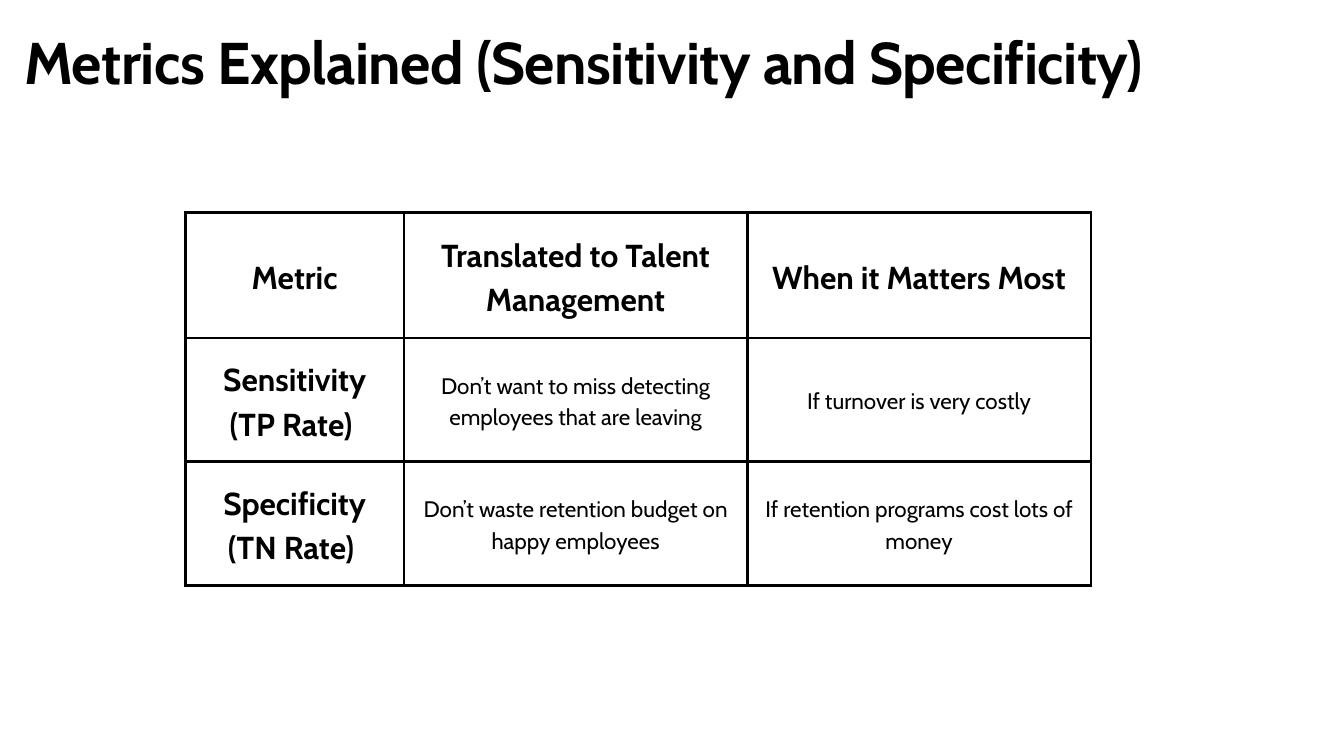
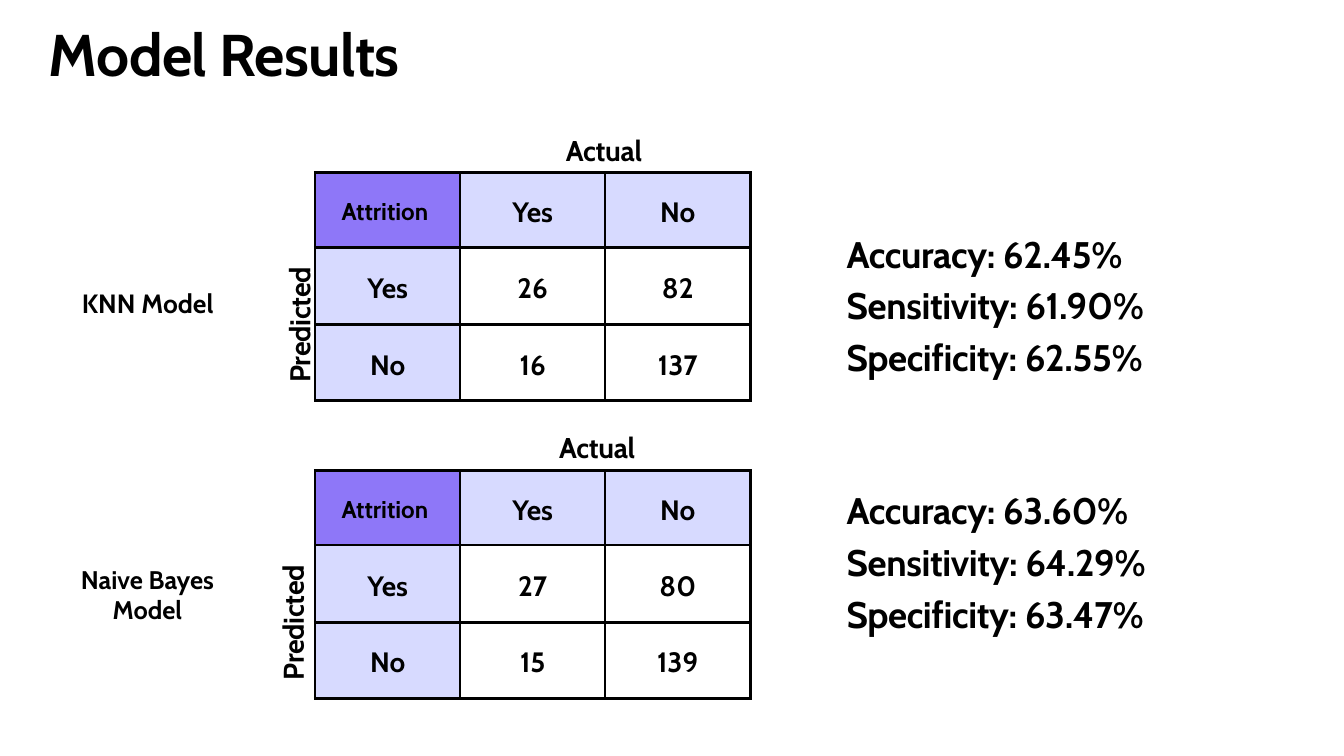
import pptx
import pptx.util
import pptx.dml.color
import pptx.enum.text
import pptx.oxml
import pptx.oxml.ns

Pt = pptx.util.Pt
RGBColor = pptx.dml.color.RGBColor
ALIGN = pptx.enum.text.PP_ALIGN

BLACK = RGBColor(0x00, 0x00, 0x00)
WHITE = RGBColor(0xFF, 0xFF, 0xFF)
VIOLET = RGBColor(0x8E, 0x77, 0xF8)
LAVENDER = RGBColor(0xD7, 0xDA, 0xFF)
FONT = "Cabin"
BORDER_WIDTH = 3
CELL_MARGIN = 15

# Text styles: size, line spacing, alignment, bold, letter spacing
TITLE = (63, 88.3, ALIGN.LEFT, True, -0.6)
AXIS = (30.6, 42.8, ALIGN.CENTER, True, -0.3)
KNN_NAME = (28.3, 34, ALIGN.CENTER, True, 0)
BAYES_NAME = (27.3, 32.7, ALIGN.CENTER, True, 0)
SCORES = (39.6, 55.4, ALIGN.JUSTIFY, True, -0.4)
METRIC_HEAD = (34, 47.6, ALIGN.CENTER, True, 0)
METRIC_BODY = (24, 33.6, ALIGN.CENTER, False, 0)
MATRIX_CORNER = (26, 36.4, ALIGN.CENTER, True, 0)
MATRIX_CELL = (30, 42, ALIGN.CENTER, True, 0)


def write_text(frame, text, style):
    size, line_spacing, alignment, bold, tracking = style
    frame.text = text
    for paragraph in frame.paragraphs:
        paragraph.alignment = alignment
        paragraph.line_spacing = Pt(line_spacing)
        for span in paragraph.runs:
            span.font.name = FONT
            span.font.size = Pt(size)
            span.font.bold = bold
            span.font.color.rgb = BLACK
            if tracking:
                span.font._element.set("spc", str(round(tracking * 100)))


def add_grid(page, left, top, widths, heights, rows, choose_style, choose_fill):
    table = page.shapes.add_table(
        len(rows), len(widths), Pt(left), Pt(top), Pt(sum(widths)), Pt(sum(heights))
    ).table
    table.first_row = False
    table.horz_banding = False
    for column, width in zip(table.columns, widths):
        column.width = Pt(width)
    for row, height in zip(table.rows, heights):
        row.height = Pt(height)
    for row_index, texts in enumerate(rows):
        for column_index, text in enumerate(texts):
            cell = table.cell(row_index, column_index)
            cell.vertical_anchor = pptx.enum.text.MSO_ANCHOR.MIDDLE
            cell.margin_left = cell.margin_right = Pt(CELL_MARGIN)
            cell.margin_top = cell.margin_bottom = Pt(CELL_MARGIN)
            write_text(cell.text_frame, text, choose_style(row_index, column_index))
            fill = choose_fill(row_index, column_index)
            if fill is None:
                cell.fill.background()
            else:
                cell.fill.solid()
                cell.fill.fore_color.rgb = fill
            # Borders come before the fill in the cell properties
            properties = cell._tc.get_or_add_tcPr()
            for index, side in enumerate(("lnL", "lnR", "lnT", "lnB")):
                properties.insert(index, pptx.oxml.parse_xml(
                    f'<a:{side} {pptx.oxml.ns.nsdecls("a")} w="{Pt(BORDER_WIDTH)}">'
                    f'<a:solidFill><a:srgbClr val="{BLACK}"/></a:solidFill></a:{side}>'
                ))


deck = pptx.Presentation()
deck.slide_width = Pt(1440)
deck.slide_height = Pt(810)
metrics_page, results_page = [
    deck.slides.add_slide(deck.slide_layouts[6]) for _ in range(2)
]
for page in (metrics_page, results_page):
    page.background.fill.solid()
    page.background.fill.fore_color.rgb = WHITE

# Metrics table
add_grid(
    metrics_page, 198.7, 227.5, (234, 368, 368), (134.6, 132.5, 132.5),
    [
        ("Metric", "Translated to Talent Management", "When it Matters Most"),
        ("Sensitivity (TP Rate) ",
         "Don’t want to miss detecting employees that are leaving",
         "If turnover is very costly"),
        ("Specificity (TN Rate) ",
         "Don’t waste retention budget on happy employees",
         "If retention programs cost lots of money"),
    ],
    lambda row, column: METRIC_BODY if row and column else METRIC_HEAD,
    lambda row, column: None,
)

# Confusion matrices
matrices = [
    (185, ("26", "82"), ("16", "137")),
    (504, ("27", "80"), ("15", "139")),
]
for top, predicted_yes, predicted_no in matrices:
    add_grid(
        results_page, 337.7, top, (155.4,) * 3, (80, 82.8, 81.4),
        [("Attrition ", "Yes", "No"), ("Yes", *predicted_yes), ("No", *predicted_no)],
        lambda row, column: MATRIX_CELL if row or column else MATRIX_CORNER,
        lambda row, column: None if row and column else LAVENDER if row or column else VIOLET,
    )

# Titles, axis names, model names and scores
labels = [
    (metrics_page, (26, 15, 1387, 86), 0, TITLE,
     "Metrics Explained (Sensitivity and Specificity)"),
    (results_page, (52.5, 6.5, 1285, 86), 0, TITLE, "Model Results"),
    (results_page, (600, 136, 101, 41), 0, AXIS, "Actual "),
    (results_page, (236, 327.6, 161, 41), 270, AXIS, "Predicted"),
    (results_page, (592.6, 455, 101, 41), 0, AXIS, "Actual "),
    (results_page, (229, 646.6, 161, 41), 270, AXIS, "Predicted"),
    (results_page, (83, 307.4, 150.5, 32.4), 0, KNN_NAME, "KNN Model"),
    (results_page, (52.5, 604, 211, 63.4), 0, BAYES_NAME, "Naive Bayes Model"),
    (results_page, (907, 239.8, 423, 161), 0, SCORES,
     "Accuracy: 62.45%\nSensitivity: 61.90%\nSpecificity: 62.55%"),
    (results_page, (907, 514.8, 423, 161), 0, SCORES,
     "Accuracy: 63.60%\nSensitivity: 64.29%\nSpecificity: 63.47%"),
]
for page, place, rotation, style, text in labels:
    box = page.shapes.add_textbox(*[Pt(length) for length in place])
    box.rotation = rotation
    frame = box.text_frame
    frame.word_wrap = True
    frame.auto_size = pptx.enum.text.MSO_AUTO_SIZE.SHAPE_TO_FIT_TEXT
    frame.margin_left = frame.margin_right = 0
    frame.margin_top = frame.margin_bottom = 0
    write_text(frame, text, style)

deck.save("out.pptx")
